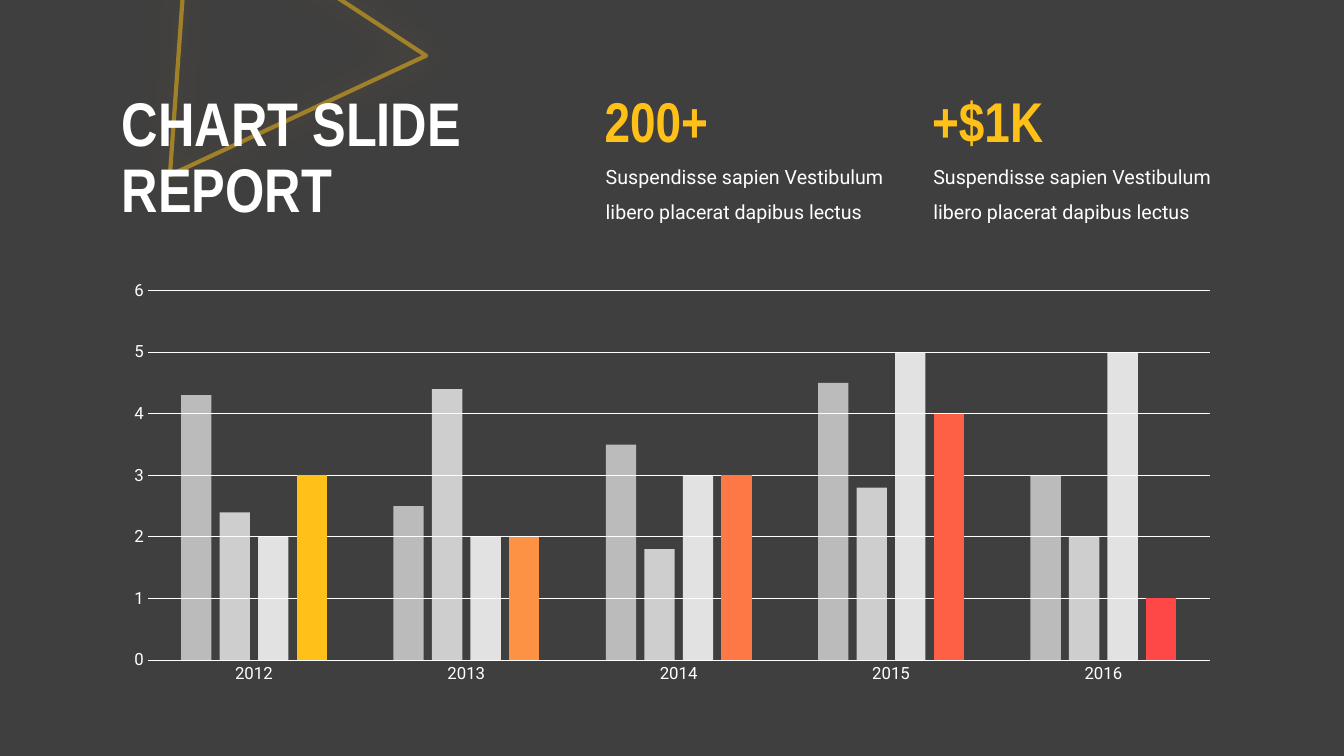
from dataclasses import dataclass

from lxml import etree
from pptx import Presentation
from pptx import util as u
from pptx.chart.data import CategoryChartData
from pptx.dml.color import RGBColor
from pptx.enum import chart as charts, shapes, text
from pptx.oxml.ns import qn

SLIDE_WIDTH, SLIDE_HEIGHT = u.Inches(13.333), u.Inches(7.5)
COLUMN, ROW = SLIDE_WIDTH / 120, SLIDE_HEIGHT / 75
WHITE, GOLD, CHARCOAL = "FFFFFF", "FFC118", "3F3F3F"
HEADING_FONT, BODY_FONT = "Arial Narrow", "Roboto"


@dataclass
class Box:
    """An area measured in grid columns and rows."""
    column: float
    row: float
    columns: float
    rows: float

    def place(self) -> tuple[int, int, int, int]:
        return (round(self.column * COLUMN), round(self.row * ROW),
                round(self.columns * COLUMN), round(self.rows * ROW))


@dataclass
class Style:
    font: str
    size: float
    color: str = WHITE
    bold: bool = False
    line_spacing: float = 1.0


@dataclass
class Statistic:
    column: float
    figure: str
    caption: str


@dataclass
class Series:
    name: str
    values: tuple[float, ...]
    colors: tuple[str, ...]
    opacity: int = 100


TITLE = Style(HEADING_FONT, 44, bold=True, line_spacing=0.9)
FIGURE = Style(HEADING_FONT, 40, GOLD, bold=True)
CAPTION = Style(BODY_FONT, 14, line_spacing=1.5)
AXIS = Style(BODY_FONT, 12)

CAPTION_TEXT = "Suspendisse sapien Vestibulum libero placerat dapibus lectus"
STATISTICS = [Statistic(53.1, "200+", CAPTION_TEXT),
              Statistic(82.35, "+$1K", CAPTION_TEXT)]
YEARS = ("2012", "2013", "2014", "2015", "2016")
SERIES = [
    Series("Series 1", (4.3, 2.5, 3.5, 4.5, 3), (WHITE,), 65),
    Series("Series 2", (2.4, 4.4, 1.8, 2.8, 2), (WHITE,), 75),
    Series("Series 3", (2, 2, 3, 5, 5), (WHITE,), 85),
    Series("Series 4", (3, 2, 3, 4, 1), (GOLD, "FD9144", "FD7845", "FE6046", "FE4847")),
]


def paint(fill, color: str, opacity: int = 100) -> None:
    fill.solid()
    fill.fore_color.rgb = RGBColor.from_string(color)
    if opacity < 100:
        color_element = fill._xPr.find(qn("a:solidFill"))[0]
        etree.SubElement(color_element, qn("a:alpha"), val=str(opacity * 1000))


def style_font(font, style: Style) -> None:
    font.name, font.size, font.bold = style.font, u.Pt(style.size), style.bold
    paint(font.fill, style.color)


def add_text(slide, box: Box, words: str, style: Style, anchor=text.MSO_ANCHOR.TOP,
             fit=text.MSO_AUTO_SIZE.SHAPE_TO_FIT_TEXT) -> None:
    text_frame = slide.shapes.add_textbox(*box.place()).text_frame
    text_frame.word_wrap = True
    text_frame.auto_size = fit
    text_frame.vertical_anchor = anchor
    text_frame.text = words
    paragraph = text_frame.paragraphs[0]
    paragraph.line_spacing = style.line_spacing
    for run in paragraph.runs:
        style_font(run.font, style)


def add_glowing_triangle(slide, box: Box) -> None:
    shape = slide.shapes.add_shape(shapes.MSO_SHAPE.ISOSCELES_TRIANGLE, *box.place())
    shape.rotation = 94.1
    shape.fill.background()
    shape.line.width = u.Pt(3)
    paint(shape.line.fill, GOLD, 50)
    shape.shadow.inherit = False
    effects = shape._element.spPr.find(qn("a:effectLst"))
    glow = etree.SubElement(effects, qn("a:outerShdw"), blurRad=str(u.Pt(25)),
                            dist="0", dir="0", algn="ctr", rotWithShape="0")
    color_element = etree.SubElement(glow, qn("a:srgbClr"), val=GOLD)
    etree.SubElement(color_element, qn("a:alpha"), val="35000")


def style_axis(axis) -> None:
    axis.major_tick_mark = axis.minor_tick_mark = charts.XL_TICK_MARK.NONE
    style_font(axis.tick_labels.font, AXIS)


def add_report_chart(slide, box: Box) -> None:
    data = CategoryChartData()
    data.categories = YEARS
    for series in SERIES:
        data.add_series(series.name, series.values)
    chart = slide.shapes.add_chart(
        charts.XL_CHART_TYPE.COLUMN_CLUSTERED, *box.place(), data).chart
    chart.has_title = chart.has_legend = False
    style_font(chart.font, Style(BODY_FONT, 10))

    # Axes and gridlines
    years, values = chart.category_axis, chart.value_axis
    style_axis(years)
    style_axis(values)
    values.minimum_scale, values.maximum_scale, values.major_unit = 0, 6, 1
    values.format.line.fill.background()
    for line in (years.format.line, values.major_gridlines.format.line):
        line.width = u.Pt(0.75)
        paint(line.fill, WHITE)

    # Columns
    plot = chart.plots[0]
    plot.gap_width, plot.overlap, plot.vary_by_categories = 219, -27, False
    for drawn, series in zip(plot.series, SERIES):
        drawn.invert_if_negative = False
        paint(drawn.format.fill, series.colors[0], series.opacity)
        for index, color in enumerate(series.colors[1:], start=1):
            paint(drawn.points[index].format.fill, color)


def main() -> None:
    presentation = Presentation()
    presentation.slide_width, presentation.slide_height = SLIDE_WIDTH, SLIDE_HEIGHT
    slide = presentation.slides.add_slide(presentation.slide_layouts[6])
    paint(slide.background.fill, CHARCOAL)

    # Decoration, title and chart
    add_glowing_triangle(slide, Box(14.76, -7.6, 24.57, 24.5))
    add_text(slide, Box(10, 7.9, 50.6, 15.8), "CHART SLIDE\vREPORT", TITLE,
             text.MSO_ANCHOR.MIDDLE, text.MSO_AUTO_SIZE.NONE)
    add_report_chart(slide, Box(10, 27, 100, 41.7))

    # Key figures
    for statistic in STATISTICS:
        add_text(slide, Box(statistic.column + 0.1, 14.7, 29.6, 7.7),
                 statistic.caption, CAPTION)
        add_text(slide, Box(statistic.column, 8.1, 16.1, 7.7), statistic.figure, FIGURE)

    presentation.save("out.pptx")


if __name__ == "__main__":
    main()
